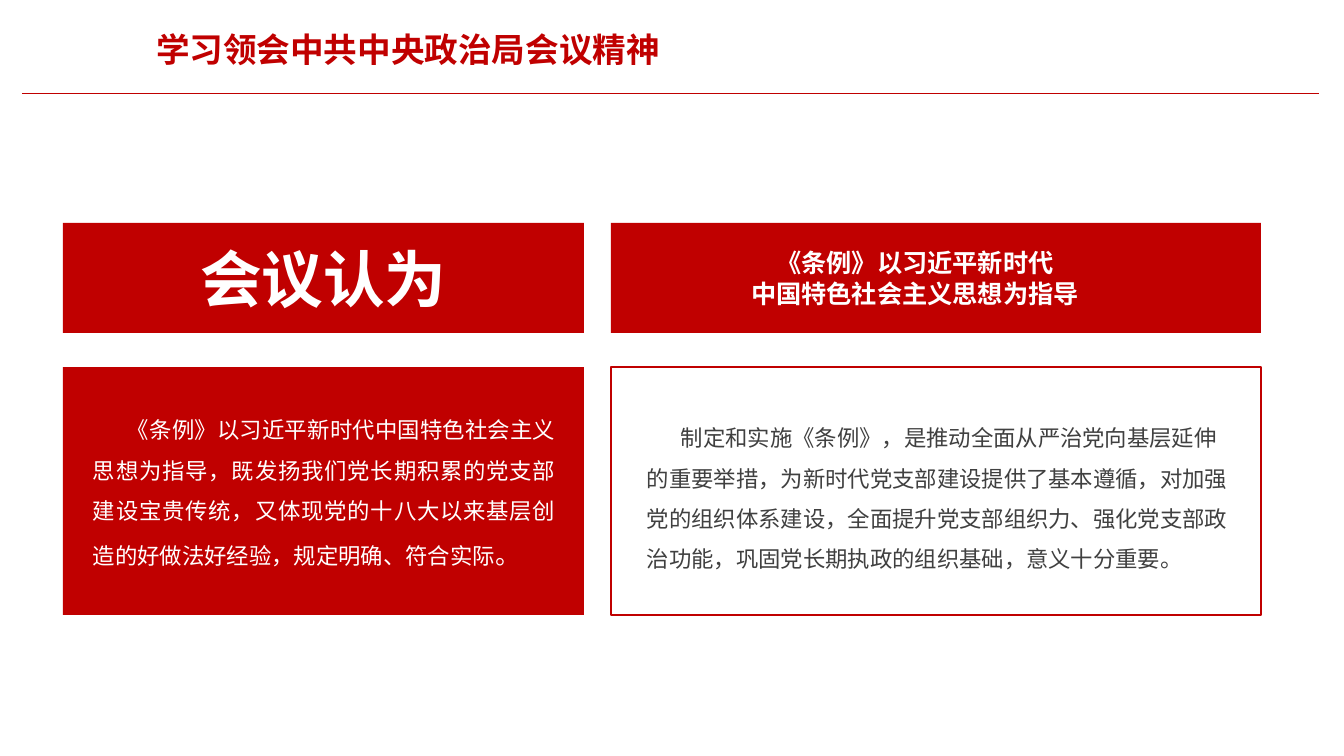
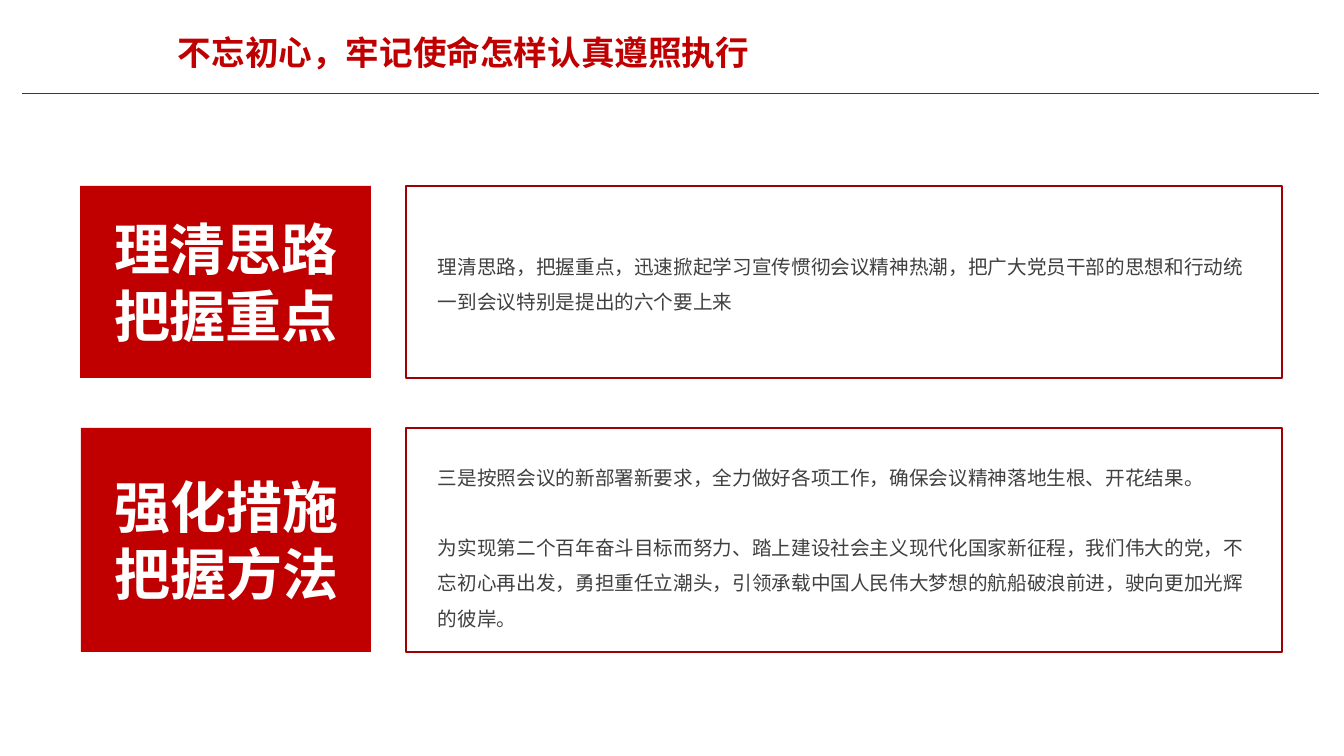
import pptx
import pptx.util
import pptx.dml.color
import pptx.enum.shapes
import pptx.enum.text
import pptx.oxml.ns
import lxml.etree

RED = pptx.dml.color.RGBColor(0xC0, 0x00, 0x00)
DARK_RED = pptx.dml.color.RGBColor(0x9F, 0x00, 0x04)
GREY = pptx.dml.color.RGBColor(0x40, 0x40, 0x40)
WHITE = pptx.dml.color.RGBColor(0xFF, 0xFF, 0xFF)
FONT = "Arial"
PX_PER_INCH = 100.8
PAGE_WIDTH, PAGE_HEIGHT = 1344, 756
TITLE_LAYOUT = 5
INDENT = 34

ALIGN = pptx.enum.text.PP_ALIGN
ANCHOR = pptx.enum.text.MSO_ANCHOR


def px(length):
    return pptx.util.Emu(round(length * 914400 / PX_PER_INCH))


def place(shape, box):
    shape.left, shape.top, shape.width, shape.height = map(px, box)


def write(shape, paragraphs, color, bold=False, align=ALIGN.LEFT, anchor=ANCHOR.MIDDLE,
          insets=(0, 0, 0, 0), line_spacing=None, gap=0, indent=0):
    """Fill a shape; each paragraph is a list of (text, size), insets are left, top, right, bottom."""
    frame = shape.text_frame
    frame.word_wrap = True
    frame.auto_size = pptx.enum.text.MSO_AUTO_SIZE.NONE
    frame.vertical_anchor = anchor
    (frame.margin_left, frame.margin_top,
     frame.margin_right, frame.margin_bottom) = map(px, insets)
    for index, runs in enumerate(paragraphs):
        para = frame.paragraphs[0] if index == 0 else frame.add_paragraph()
        para.alignment = align
        if line_spacing:
            para.line_spacing = line_spacing
        if index and gap:
            para.space_before = pptx.util.Pt(gap)
        if indent:
            para._p.get_or_add_pPr().set("indent", str(px(indent)))
        for text, size in runs:
            run = para.add_run()
            run.text = text
            run.font.name = FONT
            run.font.size = pptx.util.Pt(size)
            run.font.bold = bold
            run.font.color.rgb = color


def add_rectangle(page, box, fill=None, line=None):
    shape = page.shapes.add_shape(
        pptx.enum.shapes.MSO_SHAPE.RECTANGLE, *map(px, box))
    shape.shadow.inherit = False
    if fill is None:
        shape.fill.background()
    else:
        shape.fill.solid()
        shape.fill.fore_color.rgb = fill
    if line is None:
        shape.line.fill.background()
    else:
        shape.line.color.rgb = line
        shape.line.width = pptx.util.Pt(1)
    return shape


def add_page(deck, title, title_box):
    """Add a slide with the red title and the rule under it."""
    page = deck.slides.add_slide(deck.slide_layouts[TITLE_LAYOUT])
    place(page.shapes.title, title_box)
    write(page.shapes.title, [[(title, 24)]], RED, bold=True, align=ALIGN.RIGHT,
          anchor=ANCHOR.TOP, insets=(10, 5, 10, 5))
    rule = page.shapes.add_connector(
        pptx.enum.shapes.MSO_CONNECTOR.STRAIGHT, px(22), px(93), px(1319), px(93))
    rule.line.color.rgb = RED
    rule.line.width = pptx.util.Pt(0.5)
    lxml.etree.SubElement(rule._element.spPr, pptx.oxml.ns.qn("a:effectLst"))
    return page


def add_column(page, left, width, heading, heading_right_inset, body, body_style, filled):
    """Place a red heading band with a body card below it."""
    band = add_rectangle(page, (left, 223, width, 110), fill=RED)
    write(band, heading, WHITE, bold=True, align=ALIGN.CENTER,
          insets=(0, 0, heading_right_inset, 0))
    card = add_rectangle(page, (left, 367, width, 248),
                         fill=RED if filled else None, line=None if filled else RED)
    write(card, body, WHITE if filled else GREY, anchor=ANCHOR.TOP,
          line_spacing=1.5, indent=INDENT, **body_style)


def add_row(page, box, label, body, body_top):
    """Place a red label and, to its right, an outlined panel of text."""
    left, top, width, height = box
    tag = add_rectangle(page, box, fill=RED)
    write(tag, [[(label, 40)]], WHITE, bold=True, insets=(34, 0, 10, 0))
    panel_left = left + width + 35
    panel = add_rectangle(page, (panel_left, top, 1282 - panel_left, height), line=DARK_RED)
    write(panel, [[(text, 14)] for text in body], GREY, anchor=ANCHOR.TOP,
          insets=(32, body_top, 23, 0), line_spacing=1.5, gap=25)


def build_meeting_page(deck):
    page = add_page(deck, "学习领会中共中央政治局会议精神", (141, 24, 529, 50))
    add_column(
        page, 63, 521, [[("会议认为", 44)]], 0,
        [[("《条例》以习近平新时代中国特色社会主义思想为指导，既发扬我们党长期积累的党支部"
           "建设宝贵传统，又体现党的十八大以来基层创造的好做法好经验，规定明确、符合实际", 16),
          ("。", 18)]],
        {"align": ALIGN.JUSTIFY, "insets": (30, 36, 28, 0)}, filled=True)
    add_column(
        page, 611, 650,
        [[("《条例》以习近平新时代", 18)], [("中国特色社会主义思想为指导", 18)]], 42,
        [[("制定和实施《条例》，是推动全面从严治党向基层延伸的重要举措，为新时代党支部建设"
           "提供了基本遵循，对加强党的组织体系建设，全面提升党支部组织力、强化党支部政治功能，"
           "巩固党长期执政的组织基础，意义十分重要。", 16)]],
        {"insets": (36, 44, 24, 0)}, filled=False)


def build_action_page(deck):
    page = add_page(deck, "不忘初心，牢记使命怎样认真遵照执行", (141, 27, 618, 50))
    add_row(page, (80, 186, 291, 192), "理清思路把握重点",
            ["理清思路，把握重点，迅速掀起学习宣传惯彻会议精神热潮，把广大党员干部的思想和行动"
             "统一到会议特别是提出的六个要上来"], 57)
    add_row(page, (81, 428, 290, 224), "强化措施把握方法",
            ["三是按照会议的新部署新要求，全力做好各项工作，确保会议精神落地生根、开花结果。",
             "为实现第二个百年奋斗目标而努力、踏上建设社会主义现代化国家新征程，我们伟大的党，"
             "不忘初心再出发，勇担重任立潮头，引领承载中国人民伟大梦想的航船破浪前进，"
             "驶向更加光辉的彼岸。"], 26)


def main():
    deck = pptx.Presentation()
    deck.slide_width, deck.slide_height = px(PAGE_WIDTH), px(PAGE_HEIGHT)
    build_meeting_page(deck)
    build_action_page(deck)
    deck.save("out.pptx")


if __name__ == "__main__":
    main()
